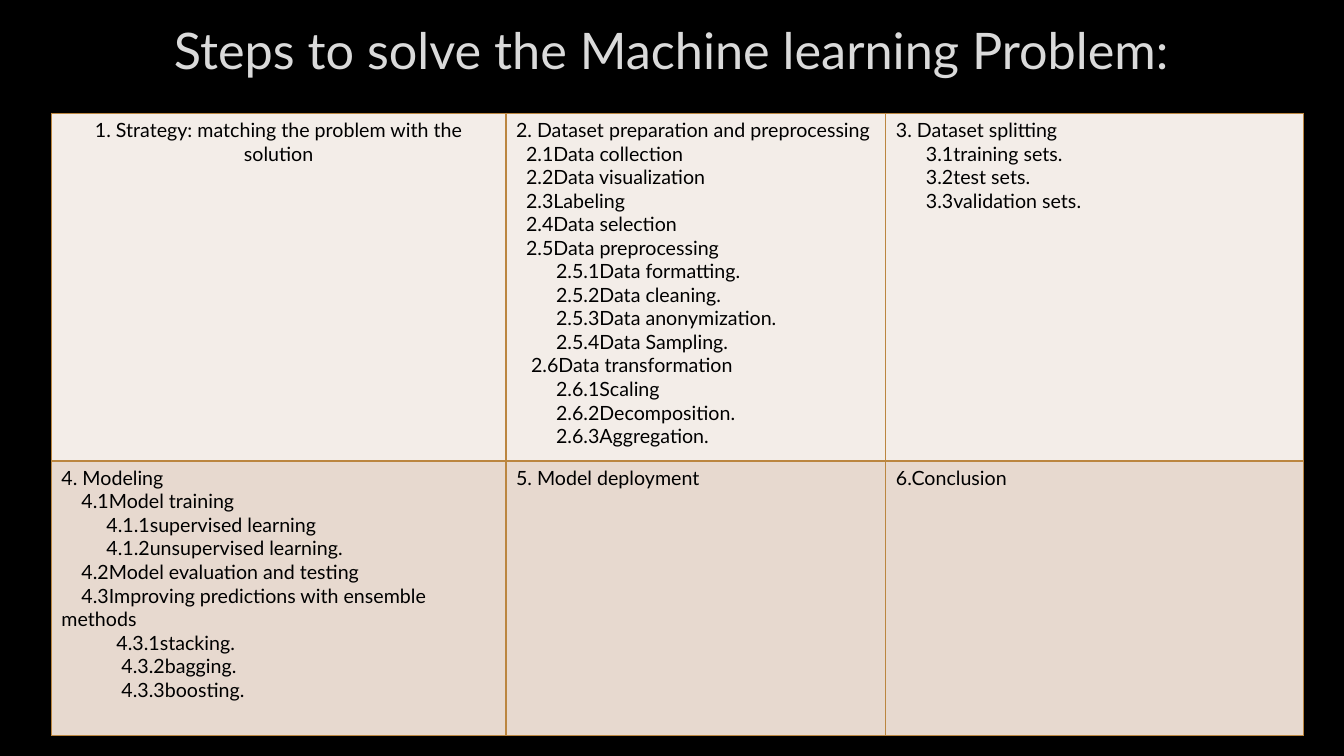
from pptx import Presentation
from pptx.dml.color import RGBColor
from pptx.enum.text import MSO_ANCHOR, MSO_AUTO_SIZE, PP_ALIGN
from pptx.oxml import parse_xml
from pptx.oxml.ns import nsdecls
from pptx.util import Pt


class Theme:
    back = "000000"
    title = "DADADA"
    edge = "404040"
    text = "000000"
    border = "BB8640"
    bands = ("F3EDE8", "E7D9CF")
    font = "Lato"
    head = 36
    body = 14
    step = 3.57


COLS = (324.7, 271.4, 298.1)
ROWS = (248.4, 195.8)

# Each line is its indent, in steps, and its text.
STEPS = [
    [
        [(0, "1. Strategy: matching the problem with the solution")],
        [
            (0, "2. Dataset preparation and preprocessing"),
            (2, "2.1Data collection"),
            (2, "2.2Data visualization"),
            (2, "2.3Labeling"),
            (2, "2.4Data selection"),
            (2, "2.5Data preprocessing"),
            (8, "2.5.1Data formatting."),
            (8, "2.5.2Data cleaning."),
            (8, "2.5.3Data anonymization."),
            (8, "2.5.4Data Sampling."),
            (3, "2.6Data transformation"),
            (8, "2.6.1Scaling"),
            (8, "2.6.2Decomposition."),
            (8, "2.6.3Aggregation."),
        ],
        [
            (0, "3. Dataset splitting"),
            (6, "3.1training sets."),
            (6, "3.2test sets."),
            (6, "3.3validation sets."),
        ],
    ],
    [
        [
            (0, "4. Modeling"),
            (4, "4.1Model training"),
            (9, "4.1.1supervised learning"),
            (9, "4.1.2unsupervised learning."),
            (4, "4.2Model evaluation and testing"),
            (4, "4.3Improving predictions with ensemble methods"),
            (11, "4.3.1stacking."),
            (12, "4.3.2bagging."),
            (12, "4.3.3boosting."),
        ],
        [(0, "5. Model deployment")],
        [(0, "6.Conclusion")],
    ],
]


def apply(item, values):
    for name, value in values.items():
        setattr(item, name, value)


def paint(fill, color):
    fill.solid()
    fill.fore_color.rgb = RGBColor.from_string(color)


def add_run(para, text, size, color):
    run = para.add_run()
    run.text = text
    apply(run.font, {"name": Theme.font, "size": Pt(size)})
    paint(run.font.fill, color)
    return run


def outline(run):
    """Give the letters a thin, mostly transparent edge."""
    run.font._element.insert(0, parse_xml(
        f'<a:ln {nsdecls("a")} w="{Pt(0.75)}"><a:solidFill>'
        f'<a:srgbClr val="{Theme.edge}"><a:alpha val="10000"/></a:srgbClr>'
        '</a:solidFill></a:ln>'))


def add_title(slide, text):
    title = slide.shapes.title
    apply(title, {"left": Pt(72), "top": Pt(10), "width": Pt(815), "height": Pt(51)})
    apply(title.text_frame, {"vertical_anchor": MSO_ANCHOR.MIDDLE,
                             "auto_size": MSO_AUTO_SIZE.NONE, "word_wrap": True})
    para = title.text_frame.paragraphs[0]
    para.alignment = PP_ALIGN.CENTER
    outline(add_run(para, text, Theme.head, Theme.title))


def add_edges(cell):
    props = cell._tc.get_or_add_tcPr()
    for place, side in enumerate("LRTB"):
        props.insert(place, parse_xml(
            f'<a:ln{side} {nsdecls("a")} w="{Pt(1)}"><a:solidFill>'
            f'<a:srgbClr val="{Theme.border}"/></a:solidFill></a:ln{side}>'))


def fill_cell(cell, lines, color):
    paint(cell.fill, color)
    add_edges(cell)
    frame = cell.text_frame
    for place, (indent, text) in enumerate(lines):
        para = frame.add_paragraph() if place else frame.paragraphs[0]
        props = para._p.get_or_add_pPr()
        props.set("marL", "0")
        props.set("indent", str(Pt(indent * Theme.step)))
        add_run(para, text, Theme.body, Theme.text)


def add_grid(slide):
    table = slide.shapes.add_table(len(ROWS), len(COLS), Pt(36.7), Pt(80.9),
                                   Pt(sum(COLS)), Pt(sum(ROWS))).table
    apply(table, {"first_row": False, "horz_banding": False})
    for col, width in zip(table.columns, COLS):
        col.width = Pt(width)
    for row, height, cells, color in zip(table.rows, ROWS, STEPS, Theme.bands):
        row.height = Pt(height)
        for cell, lines in zip(row.cells, cells):
            fill_cell(cell, lines, color)
    table.cell(0, 0).text_frame.paragraphs[0].alignment = PP_ALIGN.CENTER


def main():
    deck = Presentation()
    apply(deck, {"slide_width": Pt(960), "slide_height": Pt(540)})
    slide = deck.slides.add_slide(deck.slide_layouts[5])
    paint(slide.background.fill, Theme.back)
    add_title(slide, "Steps to solve the Machine learning Problem:")
    add_grid(slide)
    deck.save("out.pptx")


if __name__ == "__main__":
    main()
